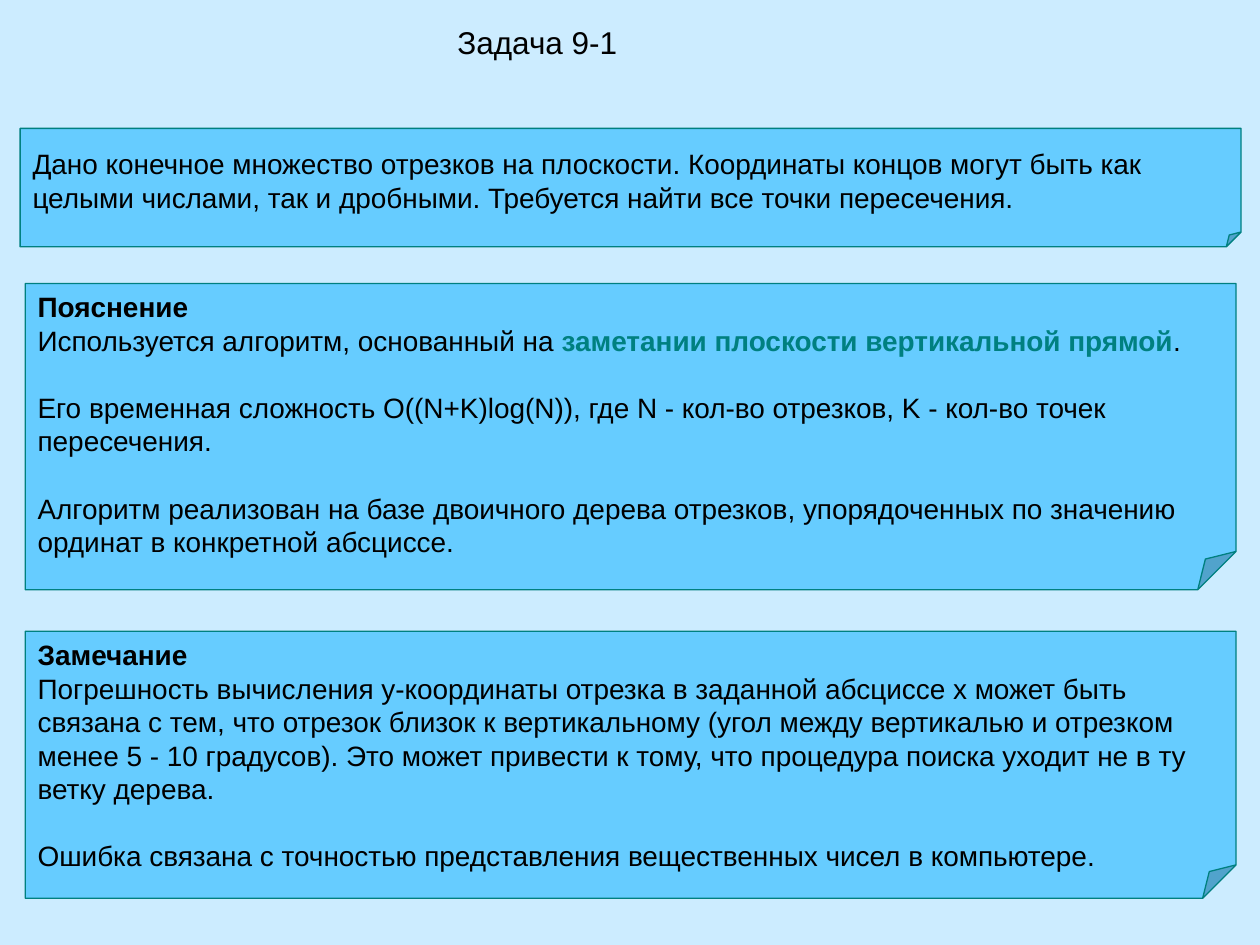
from lxml import etree
from pptx import Presentation
from pptx.dml.color import RGBColor
from pptx.enum.shapes import MSO_SHAPE
from pptx.enum.text import MSO_ANCHOR, MSO_AUTO_SIZE, PP_ALIGN
from pptx.oxml.ns import qn
from pptx.util import Pt

FOLDED = MSO_SHAPE.FOLDED_CORNER
TOP, MIDDLE = MSO_ANCHOR.TOP, MSO_ANCHOR.MIDDLE
LEFT, CENTER = PP_ALIGN.LEFT, PP_ALIGN.CENTER
NO_AUTOFIT = MSO_AUTO_SIZE.NONE
TITLE_ONLY = 5

COLORS = {"background": "CCECFF", "note": "66CCFF", "accent": "008080", "text": "000000"}
LINE_PITCH = 19.2
BODY = {"name": "Arial", "size": Pt(16), "bold": False}
BOLD = {**BODY, "bold": True}
TITLE = {**BODY, "size": Pt(18)}

TASK = [
    (0, [("Дано конечное множество отрезков на плоскости. Координаты концов могут быть как "
          "целыми числами, так и дробными. Требуется найти все точки пересечения.", BODY, "text")]),
]
EXPLANATION = [
    (0, [("Пояснение", BOLD, "text")]),
    (0, [("Используется алгоритм, основанный на ", BODY, "text"),
         ("заметании плоскости вертикальной прямой", BOLD, "accent"),
         (".", BODY, "text")]),
    (LINE_PITCH, [("Его временная сложность O((N+K)log(N)), где N - кол-во отрезков, "
                   "K - кол-во точек пересечения.", BODY, "text")]),
    (LINE_PITCH, [("Алгоритм реализован на базе двоичного дерева отрезков, упорядоченных "
                   "по значению ординат в конкретной абсциссе.", BODY, "text")]),
]
REMARK = [
    (0, [("Замечание", BOLD, "text")]),
    (0, [("Погрешность вычисления у-координаты отрезка в заданной абсциссе х может быть "
          "связана с тем, что отрезок близок к вертикальному (угол между вертикалью и "
          "отрезком менее 5 - 10 градусов). Это может привести к тому, что процедура "
          "поиска уходит не в ту ветку дерева.", BODY, "text")]),
    (LINE_PITCH, [("Ошибка связана с точностью представления вещественных чисел в компьютере.",
                   BODY, "text")]),
]
NOTES = [
    ((11.5, 73.4, 697.7, 67.7), MIDDLE, TASK),
    ((14.4, 162, 691.9, 175), TOP, EXPLANATION),
    ((14.4, 360.7, 691.9, 152.6), TOP, REMARK),
]


def color(name):
    """Return the named colour."""
    return RGBColor.from_string(COLORS[name])


def set_values(target, values):
    """Set each attribute of the target from a dict."""
    for name, value in values.items():
        setattr(target, name, value)


def add_run(paragraph, text, font, color_name):
    """Add a formatted run to a paragraph."""
    run = paragraph.add_run()
    run.text = text
    set_values(run.font, font)
    run.font.color.rgb = color(color_name)


def set_title(slide, text):
    """Place and format the slide title."""
    title = slide.shapes.title
    set_values(title, {"left": Pt(191.5), "top": Pt(9.4), "width": Pt(231.1), "height": Pt(49)})
    set_values(title.text_frame, {"auto_size": NO_AUTOFIT, "vertical_anchor": TOP,
                                  "word_wrap": False})
    paragraph = title.text_frame.paragraphs[0]
    paragraph.alignment = CENTER
    add_run(paragraph, text, TITLE, "text")


def set_fold(shape, share):
    """Set the fold size as a share of the shorter side."""
    adjustments = next(shape.element.iter(qn("a:avLst")))
    etree.SubElement(adjustments, qn("a:gd"), name="adj", fmla=f"val {round(share * 100000)}")


def add_note(slide, box, anchor, paragraphs):
    """Add a folded-corner note with its paragraphs."""
    shape = slide.shapes.add_shape(FOLDED, *map(Pt, box))
    set_fold(shape, 0.125)
    shape.shadow.inherit = False
    shape.fill.solid()
    shape.fill.fore_color.rgb = color("note")
    shape.line.color.rgb = color("accent")
    shape.line.width = Pt(0.75)
    frame = shape.text_frame
    set_values(frame, {"word_wrap": True, "vertical_anchor": anchor})
    for index, (space, runs) in enumerate(paragraphs):
        paragraph = frame.add_paragraph() if index else frame.paragraphs[0]
        paragraph.alignment = LEFT
        paragraph.line_spacing = Pt(LINE_PITCH)
        if space:
            paragraph.space_before = Pt(space)
        for run in runs:
            add_run(paragraph, *run)


def main():
    """Build and save the slide."""
    presentation = Presentation()
    set_values(presentation, {"slide_width": Pt(720), "slide_height": Pt(540)})
    slide = presentation.slides.add_slide(presentation.slide_layouts[TITLE_ONLY])
    slide.background.fill.solid()
    slide.background.fill.fore_color.rgb = color("background")
    set_title(slide, "Задача 9-1")
    for note in NOTES:
        add_note(slide, *note)
    presentation.save("out.pptx")


if __name__ == "__main__":
    main()
